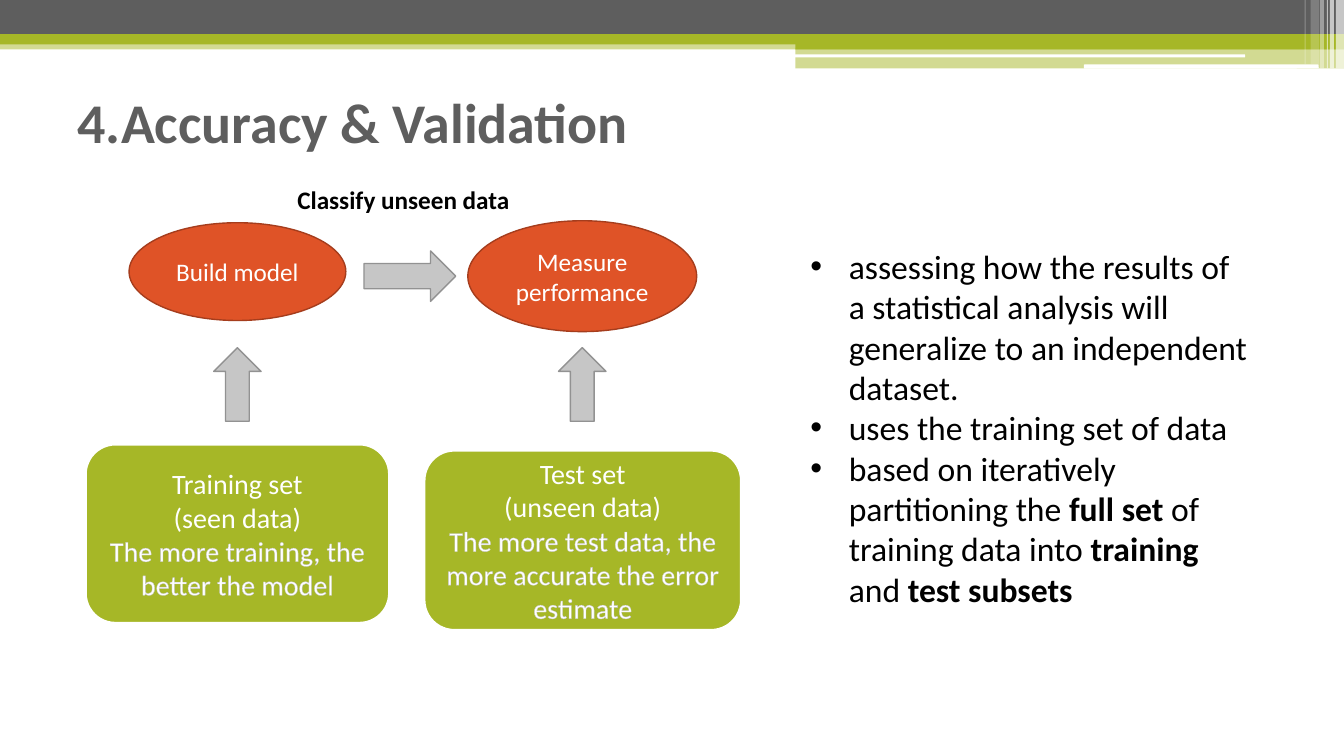
from lxml import etree
from pptx import Presentation, util as u
from pptx.dml.color import RGBColor
from pptx.enum import shapes, text
from pptx.oxml import ns

PX = 9144  # 100 px to the inch
FONT = "Calibri"
WHITE = RGBColor(0xFF, 0xFF, 0xFF)
BLACK = RGBColor(0, 0, 0)
DARK = RGBColor(0x5E, 0x5E, 0x5E)
GREEN = RGBColor(0xA6, 0xB7, 0x27)
RED = RGBColor(0xDF, 0x53, 0x27)
RUST = RGBColor(0xA5, 0x3D, 0x1D)
SILVER = RGBColor(0xC6, 0xC6, 0xC6)
GREY = RGBColor(0x92, 0x92, 0x92)

KIND = shapes.MSO_SHAPE
MID = text.MSO_ANCHOR.MIDDLE
CENTER = text.PP_ALIGN.CENTER

# left, top, width, height, fill, percent opaque
BANDS = [
    (0, 40, 1333, 9, GREEN, 50),
    (0, 0, 1333, 34, DARK, 100),
    (0, 34, 1333, 10, GREEN, 100),
    (789, 39, 544, 10, GREEN, 100),
    (789, 48, 544, 20, GREEN, 50),
]
SLITS = [(788, 54, 447, 3), (1075, 64, 233, 4)]
# left, width, height, percent opaque
STRIPES = [
    (1325, 8, 68, 65), (1319, 4, 68, 65), (1316, 1, 68, 60),
    (1309, 4, 68, 40), (1300, 8, 64, 20), (1294, 1, 64, 30),
]
STEPS = [
    ((128, 221, 215, 97), "Build model"),
    ((464, 219, 227, 110), "Measure performance"),
]
SETS = [
    ((85, 441, 301, 177), "Training set", "(seen data)",
     "The more training, the better the model"),
    ((421, 447, 314, 178), "Test set", "(unseen data)",
     "The more test data, the more accurate the error estimate"),
]
ARROWS = [
    (KIND.RIGHT_ARROW, (361, 249, 91, 50)),
    (KIND.UP_ARROW, (212, 345, 47, 73)),
    (KIND.UP_ARROW, (554, 345, 47, 73)),
]
# each point is a list of (words, bold)
POINTS = [
    [("assessing how the results of a statistical analysis will "
      "generalize to an independent dataset.", False)],
    [("uses the training set of data", False)],
    [("based on iteratively partitioning the ", False), ("full set", True),
     (" of training data into ", False), ("training", True),
     (" and ", False), ("test subsets", True)],
]


def scale(box):
    return [n * PX for n in box]


def add_shape(slide, kind, box, fill, line=None, width=1, alpha=100):
    shape = slide.shapes.add_shape(kind, *scale(box))
    shape.shadow.inherit = False
    shape.fill.solid()
    shape.fill.fore_color.rgb = fill
    if alpha < 100:
        tint = shape.fill._xPr.find(".//" + ns.qn("a:srgbClr"))
        etree.SubElement(tint, ns.qn("a:alpha"), val=str(alpha * 1000))
    if line is None:
        shape.line.fill.background()
    else:
        shape.line.color.rgb = line
        shape.line.width = u.Pt(width)
    return shape


def add_run(para, words, size, color, bold=False):
    run = para.add_run()
    run.text = words
    font = run.font
    font.name, font.size, font.bold = FONT, u.Pt(size), bold
    font.color.rgb = color
    return run


def outline(run, color):
    """Draw a thin line around the letters of a run."""
    line = etree.Element(ns.qn("a:ln"), w=str(u.Pt(0.8)))
    fill = etree.SubElement(line, ns.qn("a:solidFill"))
    etree.SubElement(fill, ns.qn("a:srgbClr"), val=str(color))
    run.font._element.insert(0, line)


def add_bullet(para):
    """Give a paragraph a round bullet and a hanging indent."""
    props = para._p.get_or_add_pPr()
    props.set("marL", str(38 * PX))
    props.set("indent", str(-38 * PX))
    etree.SubElement(props, ns.qn("a:buFont"), typeface="Arial")
    etree.SubElement(props, ns.qn("a:buChar"), char="•")


def add_lines(shape, lines, size):
    """Fill a shape with centred white lines and return their runs."""
    frame = shape.text_frame
    frame.word_wrap = True
    frame.vertical_anchor = MID
    runs = []
    for i, words in enumerate(lines):
        para = frame.add_paragraph() if i else frame.paragraphs[0]
        para.alignment = CENTER
        runs.append(add_run(para, words, size, WHITE))
    return runs


def add_text(slide, box, points, size, color, bullets=False, grow=True):
    frame = slide.shapes.add_textbox(*scale(box)).text_frame
    frame.word_wrap = True
    if grow:
        frame.auto_size = text.MSO_AUTO_SIZE.SHAPE_TO_FIT_TEXT
    else:
        frame.vertical_anchor = MID
    for i, point in enumerate(points):
        para = frame.add_paragraph() if i else frame.paragraphs[0]
        if bullets:
            add_bullet(para)
        for words, bold in point:
            add_run(para, words, size, color, bold)


def add_header(slide):
    for *box, fill, alpha in BANDS:
        add_shape(slide, KIND.RECTANGLE, box, fill, alpha=alpha)
    for box in SLITS:
        add_shape(slide, KIND.ROUNDED_RECTANGLE, box, WHITE)
    for left, width, height, alpha in STRIPES:
        add_shape(slide, KIND.RECTANGLE, (left, 0, width, height), WHITE,
                  alpha=alpha)


def add_flow(slide):
    for box, label in STEPS:
        add_lines(add_shape(slide, KIND.OVAL, box, RED, RUST), [label], 18)
    for box, *lines in SETS:
        card = add_shape(slide, KIND.ROUNDED_RECTANGLE, box, GREEN, WHITE, 1.5)
        outline(add_lines(card, lines, 20)[-1], SILVER)
    for kind, box in ARROWS:
        add_shape(slide, kind, box, SILVER, GREY)


def main():
    deck = Presentation()
    deck.slide_width, deck.slide_height = scale((1333, 750))
    slide = deck.slides.add_slide(deck.slide_layouts[6])
    add_header(slide)
    add_text(slide, (67, 70, 1200, 100), [[("4.Accuracy & Validation", True)]],
             40, DARK, grow=False)
    add_flow(slide)
    add_text(slide, (285, 178, 359, 40), [[("Classify unseen data", True)]],
             18, BLACK)
    add_text(slide, (794, 239, 458, 404), POINTS, 24, BLACK, bullets=True)
    deck.save("out.pptx")


if __name__ == "__main__":
    main()
